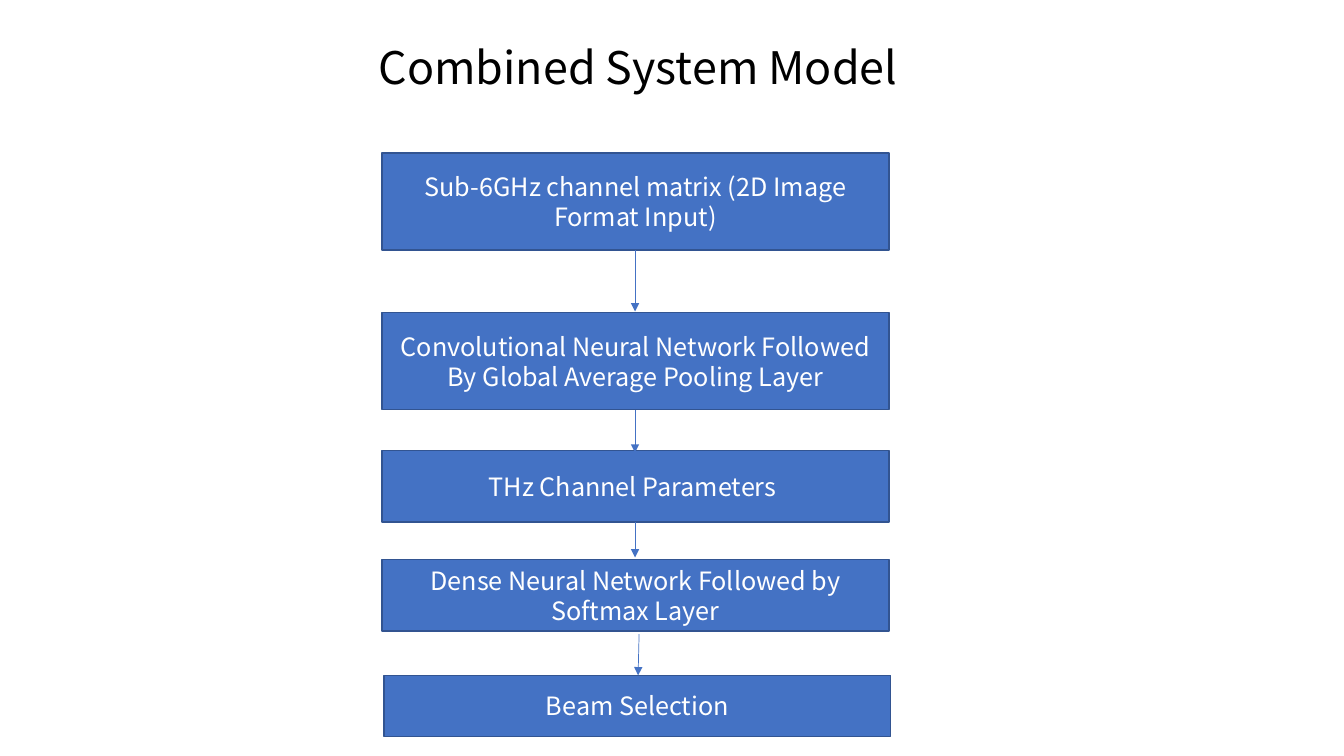
from pptx import Presentation
from pptx.dml.color import RGBColor
from pptx.enum.shapes import MSO_CONNECTOR, MSO_SHAPE
from pptx.enum.text import MSO_ANCHOR, PP_ALIGN
from pptx.oxml.ns import qn
from pptx.util import Pt
from lxml.etree import SubElement

BLUE = RGBColor(0x44, 0x72, 0xC4)
DARK_BLUE = RGBColor(0x32, 0x54, 0x91)
WHITE = RGBColor(0xFF, 0xFF, 0xFF)
BLACK = RGBColor(0, 0, 0)
FONT = "Noto Sans CJK KR"
BOX_WIDTH = 362


def write(sp, text, size, color):
    """Put one centred paragraph into a shape."""
    tf = sp.text_frame
    tf.word_wrap = True
    p = tf.paragraphs[0]
    p.text = text
    p.alignment = PP_ALIGN.CENTER
    p.font.name, p.font.size, p.font.color.rgb = FONT, Pt(size), color
    return tf


def add_arrow(x1, y1, x2, y2):
    """Draw a thin blue arrow between two points."""
    arrow = s.shapes.add_connector(
        MSO_CONNECTOR.STRAIGHT, Pt(x1), Pt(y1), Pt(x2), Pt(y2))
    arrow.line.color.rgb = BLUE
    arrow.line.width = Pt(0.5)
    SubElement(arrow.line._get_or_add_ln(), qn("a:tailEnd"), type="triangle")
    SubElement(arrow._element.spPr, qn("a:effectLst"))


prs = Presentation()
prs.slide_width, prs.slide_height = Pt(960), Pt(540)
s = prs.slides.add_slide(prs.slide_layouts[5])

title = s.shapes.title
title.left, title.top, title.width, title.height = Pt(-7), Pt(24.5), Pt(926), Pt(46)
tf = write(title, "Combined System Model", 32, BLACK)
tf.vertical_anchor = MSO_ANCHOR.TOP

# Stage text, left, top, height
stages = [
    ("Sub-6GHz channel matrix (2D Image Format Input)", 272.9, 109.4, 69.1),
    ("Convolutional Neural Network Followed By Global Average Pooling Layer",
     272.9, 223.2, 69.5),
    ("THz Channel Parameters ", 272.9, 321.8, 51.1),
    ("Dense Neural Network Followed by Softmax Layer", 272.9, 399.6, 51.1),
    ("Beam Selection", 274.3, 482.4, 43.5),
]
for text, left, top, height in stages:
    sp = s.shapes.add_shape(
        MSO_SHAPE.RECTANGLE, Pt(left), Pt(top), Pt(BOX_WIDTH), Pt(height))
    sp.shadow.inherit = False
    sp.fill.solid()
    sp.fill.fore_color.rgb = BLUE
    sp.line.color.rgb = DARK_BLUE
    sp.line.width = Pt(1)
    tf = write(sp, text, 18, WHITE)
    tf.vertical_anchor = MSO_ANCHOR.MIDDLE

for x1, y1, x2, y2 in [
    (453.6, 178.5, 453.6, 222.5),
    (453.6, 293, 453.6, 323.3),
    (453.6, 373, 453.6, 398.2),
    (456.5, 452.9, 455.8, 482.4),
]:
    add_arrow(x1, y1, x2, y2)

prs.save("out.pptx")
